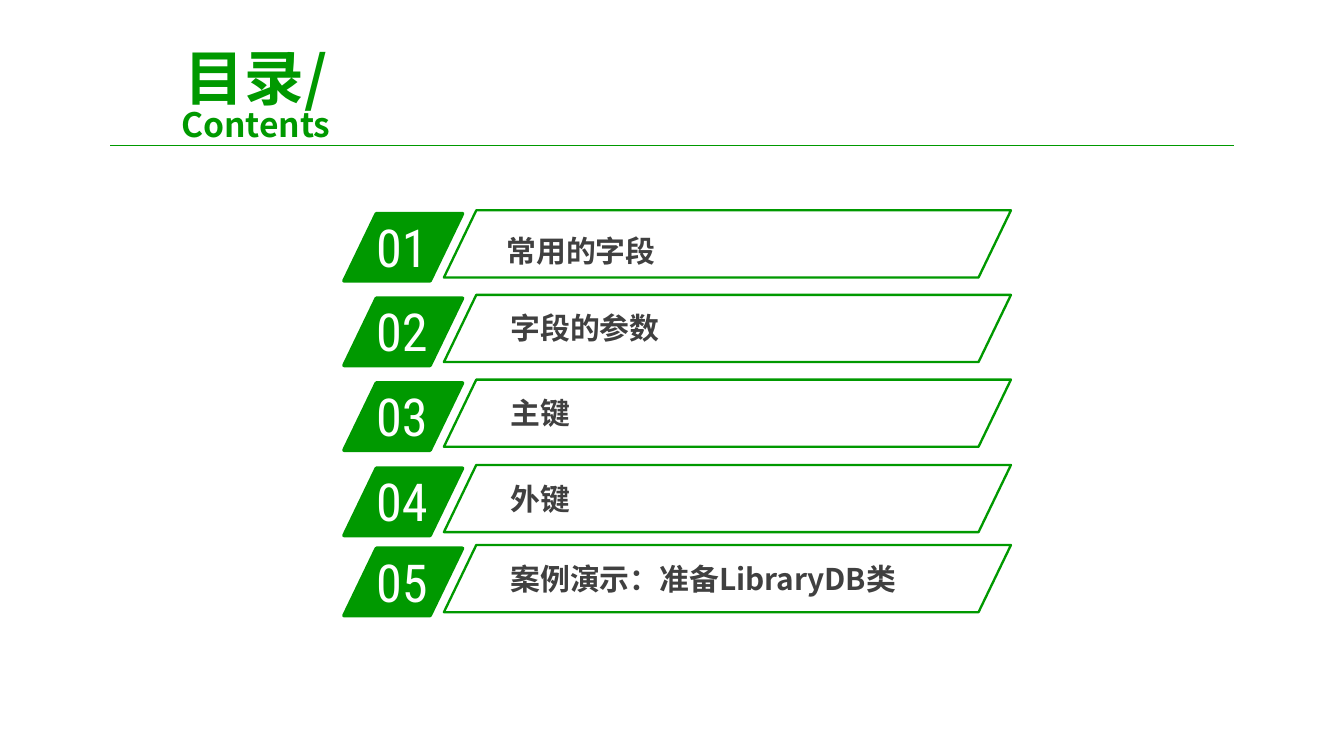
from lxml.etree import SubElement
from pptx import Presentation
from pptx.dml.color import RGBColor
from pptx.enum.shapes import MSO_CONNECTOR, MSO_SHAPE
from pptx.enum.text import MSO_ANCHOR, PP_ALIGN
from pptx.oxml.ns import qn
from pptx.util import Pt

GREEN, GREY, WHITE = "009900", "404040", "FFFFFF"
SANS, CONDENSED = "Noto Sans CJK SC", "Roboto Condensed"


def paint(color_format, color):
    color_format.rgb = RGBColor.from_string(color)


def style(run, size, font, color, bold=False):
    run.font.size = Pt(size)
    run.font.name = font
    run.font.bold = bold
    paint(run.font.color, color)
    SubElement(run.font._element, qn("a:ea")).set("typeface", font)


prs = Presentation()
prs.slide_width, prs.slide_height = Pt(720), Pt(405)
slide = prs.slides.add_slide(prs.slide_layouts[6])
shapes = slide.shapes

heading = shapes.add_textbox(Pt(48.2), Pt(33.8), Pt(177.8), Pt(38.9)).text_frame
heading.word_wrap = True
heading.vertical_anchor = MSO_ANCHOR.MIDDLE
heading.text = "目录/\vContents"
heading_line = heading.paragraphs[0]
heading_line.alignment = PP_ALIGN.CENTER
heading_line.line_spacing = 0.8
heading_line.space_before = Pt(6)
for run, size in zip(heading_line.runs, (32, 18)):
    style(run, size, SANS, GREEN, True)

rule = shapes.add_connector(MSO_CONNECTOR.STRAIGHT, Pt(59), Pt(77.9), Pt(661), Pt(77.9))
rule.line.width = Pt(0.75)
paint(rule.line.color, GREEN)
SubElement(rule._element.spPr, qn("a:effectLst"))

entries = [
    (114.5, 266.4, 121.7, "常用的字段"),
    (159.8, 268.6, 163.4, "字段的参数"),
    (205.2, 268.6, 208.8, "主键"),
    (250.9, 268.6, 254.9, "外键"),
    (293.8, 268.6, 297.4, "案例演示：准备LibraryDB类"),
]
for number, (top, label_left, label_top, topic) in enumerate(entries, 1):
    for left, y, width, line_width in ((184.3, top, 63.4, 2), (237.8, top - 1.8, 303.8, 1.25)):
        panel = shapes.add_shape(MSO_SHAPE.PARALLELOGRAM, Pt(left), Pt(y), Pt(width), Pt(36))
        panel.adjustments[0] = 0.482
        panel.shadow.inherit = False
        panel.line.width = Pt(line_width)
        paint(panel.line.color, GREEN)
        if line_width == 2:
            panel.fill.solid()
            paint(panel.fill.fore_color, GREEN)
        else:
            panel.fill.background()

    index = shapes.add_textbox(Pt(194.4), Pt(top - 2.8), Pt(60.5), Pt(41)).text_frame
    index.word_wrap = True
    index.text = f"{number:02}"
    style(index.paragraphs[0].runs[0], 28, CONDENSED, WHITE)

    label = shapes.add_textbox(Pt(label_left), Pt(label_top), Pt(242.6), Pt(25.2)).text_frame
    label.word_wrap = True
    label.margin_left = label.margin_right = Pt(5)
    label.margin_top = label.margin_bottom = Pt(2.7)
    label.text = topic
    style(label.paragraphs[0].runs[0], 16, SANS, GREY, True)

prs.save("out.pptx")
